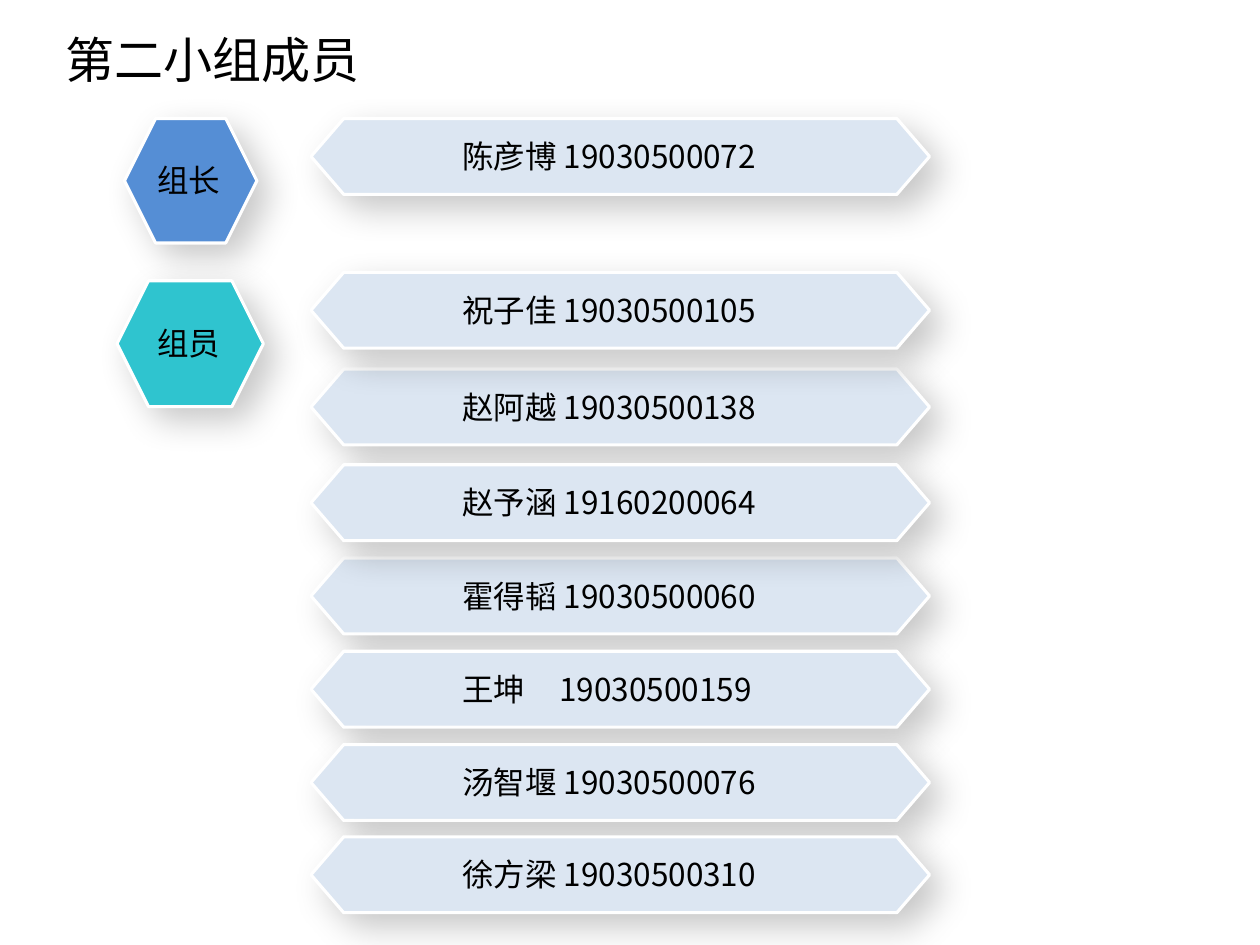
import dataclasses

import pptx
import pptx.dml.color
import pptx.enum.shapes
import pptx.oxml
import pptx.oxml.ns
import pptx.util

Cm = pptx.util.Cm
Pt = pptx.util.Pt


@dataclasses.dataclass(frozen=True)
class Theme:
    font: str = "Noto Sans CJK SC"
    label_font: str = "Arial"
    title_size: int = 28
    body_size: int = 18
    text: str = "000000"
    bar: str = "DCE6F2"
    outline: str = "FFFFFF"
    leader: str = "558ED5"
    member: str = "2FC4CF"


THEME = Theme()

BAR_LEFT, BAR_WIDTH, BAR_HEIGHT, BAR_POINT = 6.27, 12.47, 1.53, 0.66
NUMBER_TAB = 1.96

# Top of each bar in cm and its person; later bars cast shadows on earlier ones.
LEADER = (2.39, "陈彦博 19030500072")
MEMBERS = [
    (7.44, "赵阿越 19030500138"),
    (11.25, "霍得韬 19030500060"),
    (13.13, "王坤\t19030500159"),
    (15.01, "汤智堰 19030500076"),
    (16.87, "徐方梁 19030500310"),
    (9.37, "赵予涵 19160200064"),
    (5.49, "祝子佳 19030500105"),
]


def color(value):
    return pptx.dml.color.RGBColor.from_string(value)


def add_effect_shadow(shape):
    """Replace the inherited shadow with a soft one to the lower right."""
    shape.shadow.inherit = False
    effects = shape._element.spPr.find(pptx.oxml.ns.qn("a:effectLst"))
    effects.append(pptx.oxml.parse_xml(
        f'<a:outerShdw {pptx.oxml.ns.nsdecls("a")} blurRad="{Pt(20)}" '
        f'dist="{Pt(10)}" dir="2700000" algn="tl" rotWithShape="0">'
        '<a:srgbClr val="000000"><a:alpha val="21000"/></a:srgbClr>'
        '</a:outerShdw>'))


def style_panel(shape, fill):
    shape.fill.solid()
    shape.fill.fore_color.rgb = color(fill)
    shape.line.color.rgb = color(THEME.outline)
    shape.line.width = Pt(1.75)
    add_effect_shadow(shape)


def add_text(shapes, left, top, width, height, text, size, font=THEME.font):
    box = shapes.add_textbox(Cm(left), Cm(top), Cm(width), Cm(height))
    box.text_frame.word_wrap = True
    para = box.text_frame.paragraphs[0]
    para.text = text
    for span in para.runs:
        span.font.name = font
        span.font.size = Pt(size)
        span.font.color.rgb = color(THEME.text)
        span.font._element.append(pptx.oxml.parse_xml(
            f'<a:ea {pptx.oxml.ns.nsdecls("a")} typeface="{THEME.font}"/>'))
    return box


def set_tab_stop(box, position):
    properties = box.text_frame.paragraphs[0]._p.get_or_add_pPr()
    properties.append(pptx.oxml.parse_xml(
        f'<a:tabLst {pptx.oxml.ns.nsdecls("a")}>'
        f'<a:tab pos="{Cm(position)}" algn="l"/></a:tabLst>'))


def add_person(page, top, person):
    """Draw a bar pointed at both ends with a name and number."""
    shapes = page.shapes.add_group_shape().shapes
    right = BAR_LEFT + BAR_WIDTH
    middle, bottom = top + BAR_HEIGHT / 2, top + BAR_HEIGHT
    outline = [
        (BAR_LEFT + BAR_POINT, top), (right - BAR_POINT, top),
        (right, middle), (right - BAR_POINT, bottom),
        (BAR_LEFT + BAR_POINT, bottom), (BAR_LEFT, middle),
    ]
    points = [(Cm(x), Cm(y)) for x, y in outline]
    builder = shapes.build_freeform(*points[0])
    builder.add_line_segments(points[1:], close=True)
    style_panel(builder.convert_to_shape(), THEME.bar)
    box = add_text(shapes, 9.07, top + 0.25, 6.88, 1.03, person, THEME.body_size)
    if "\t" in person:
        set_tab_stop(box, NUMBER_TAB)


def add_role(page, left, top, width, height, role, fill):
    shapes = page.shapes.add_group_shape().shapes
    hexagon = shapes.add_shape(
        pptx.enum.shapes.MSO_SHAPE.HEXAGON,
        Cm(left), Cm(top), Cm(width), Cm(height))
    style_panel(hexagon, fill)
    add_text(shapes, 2.92, top + 0.74, 1.85, 1.03, role,
             THEME.body_size, THEME.label_font)


def main():
    deck = pptx.Presentation()
    deck.slide_width, deck.slide_height = Cm(25.4), Cm(19.05)
    page = deck.slides.add_slide(deck.slide_layouts[6])

    add_text(page.shapes, 1.07, 0.48, 7.04, 1.45, "第二小组成员", THEME.title_size)
    add_person(page, *LEADER)
    add_role(page, 2.51, 2.39, 2.67, 2.51, "组长", THEME.leader)
    add_role(page, 2.36, 5.66, 2.95, 2.54, "组员", THEME.member)
    for top, person in MEMBERS:
        add_person(page, top, person)

    deck.save("out.pptx")


if __name__ == "__main__":
    main()
